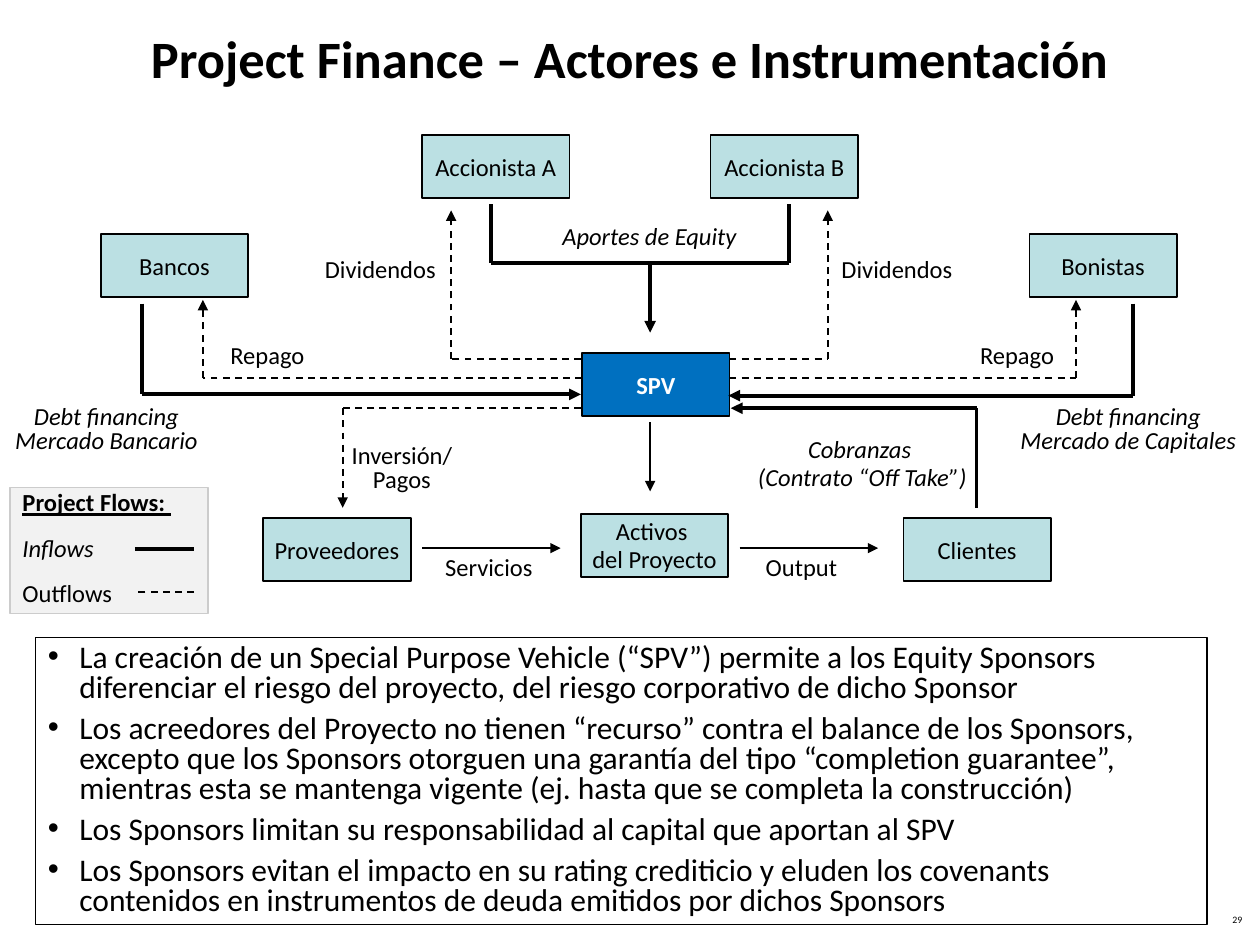
from itertools import pairwise

from lxml.etree import SubElement
from pptx import Presentation
from pptx.dml.color import RGBColor
from pptx.enum.dml import MSO_LINE
from pptx.enum.shapes import MSO_CONNECTOR, MSO_SHAPE
from pptx.enum.text import MSO_ANCHOR, MSO_AUTO_SIZE, PP_ALIGN
from pptx.oxml.ns import qn
from pptx.util import Inches, Pt

COLUMNS, ROWS = 100, 75
WIDTH, HEIGHT = Inches(10), Inches(7.5)
BLACK, WHITE = "000000", "FFFFFF"
ACTOR_SIZE = (11.7, 5)
INFLOW, OUTFLOW, EXCHANGE = (2.25, False), (1, True), (1, False)

ACTORS = [
    ("Accionista A", 33.5, 10.7),
    ("Accionista B", 56.4, 10.7),
    ("Bancos", 8, 18.6),
    ("Bonistas", 81.7, 18.6),
    ("Proveedores", 20.9, 41.1),
    ("Clientes", 71.7, 41.1),
    ("Activos \ndel Proyecto", 46.1, 40.8),
]

FLOWS = [
    (INFLOW, False, [(39, 16.2), (39, 20.9), (62.6, 20.9), (62.6, 16.2)]),
    (INFLOW, True, [(51.6, 20.9), (51.6, 26.4)]),
    (INFLOW, True, [(11.3, 24.1), (11.3, 31.3), (46.1, 31.3)]),
    (INFLOW, True, [(89.9, 24.1), (89.9, 31.4), (57.8, 31.4)]),
    (INFLOW, True, [(77.5, 40.3), (77.5, 32.4), (58, 32.4)]),
    (INFLOW, False, [(10.7, 43.6), (15.4, 43.6)]),
    (OUTFLOW, True, [(46.1, 28.5), (35.8, 28.5), (35.8, 16.7)]),
    (OUTFLOW, True, [(57.9, 28.5), (65.7, 28.5), (65.7, 16.7)]),
    (OUTFLOW, True, [(46.2, 30), (16.1, 30), (16.1, 23.8)]),
    (OUTFLOW, True, [(57.9, 30), (85.4, 30), (85.4, 23.8)]),
    (OUTFLOW, True, [(46.1, 32.4), (27.2, 32.4), (27.2, 40.3)]),
    (OUTFLOW, False, [(15.4, 47), (10.7, 47)]),
    (EXCHANGE, True, [(51.6, 33.5), (51.6, 39)]),
    (EXCHANGE, True, [(33.5, 43.5), (44.5, 43.5)]),
    (EXCHANGE, True, [(58.7, 43.5), (69.7, 43.5)]),
]

SHORT_LABELS = [
    ("Dividendos", 24.8, 20.7, 11.8, PP_ALIGN.LEFT, False),
    ("Dividendos", 65.8, 20.7, 11.8, PP_ALIGN.LEFT, False),
    ("Repago", 17.3, 27.5, 8.7, PP_ALIGN.LEFT, False),
    ("Repago", 76.8, 27.5, 8.7, PP_ALIGN.LEFT, False),
    ("Aportes de Equity", 42.5, 18.1, 18.1, PP_ALIGN.CENTER, True),
    ("Servicios", 32.9, 44.3, 11.8, PP_ALIGN.CENTER, False),
    ("Output", 57.7, 44.3, 11.8, PP_ALIGN.CENTER, False),
]

LONG_LABELS = [
    ("Inversión/ Pagos", 26, 34.8, 11.8, 14, False),
    ("Cobranzas \n(Contrato “Off Take”)", 59, 34.1, 18.9, 16, True),
    ("Debt financing Mercado Bancario", -1.5, 31.7, 19.9, 14, True),
    ("Debt financing Mercado de Capitales", 79.6, 31.7, 19.9, 14, True),
]

CONCLUSIONS = [
    "La creación de un Special Purpose Vehicle (“SPV”) permite a los Equity Sponsors "
    "diferenciar el riesgo del proyecto, del riesgo corporativo de dicho Sponsor",
    "Los acreedores del Proyecto no tienen “recurso” contra el balance de los Sponsors, "
    "excepto que los Sponsors otorguen una garantía del tipo “completion guarantee”, "
    "mientras esta se mantenga vigente (ej. hasta que se completa la construcción)",
    "Los Sponsors limitan su responsabilidad al capital que aportan al SPV",
    "Los Sponsors evitan el impacto en su rating crediticio y eluden los covenants "
    "contenidos en instrumentos de deuda emitidos por dichos Sponsors",
]


def color(value):
    return RGBColor.from_string(value)


def col(count):
    return round(WIDTH * count / COLUMNS)


def row(count):
    return round(HEIGHT * count / ROWS)


def area(left, top, width, height):
    return col(left), row(top), col(width), row(height)


def place(placeholder, *cells):
    placeholder.left, placeholder.top, placeholder.width, placeholder.height = area(*cells)


def write(frame, text, size=14, ink=BLACK, align=PP_ALIGN.LEFT, spacing=None,
          before=0, bold=False, italic=False):
    frame.text = text
    frame.auto_size = MSO_AUTO_SIZE.NONE
    for paragraph in frame.paragraphs:
        paragraph.alignment = align
        paragraph.space_before = Pt(before)
        if spacing:
            paragraph.line_spacing = spacing
        for run in paragraph.runs:
            run.font.name = "Calibri"
            run.font.size = Pt(size)
            run.font.bold = bold
            run.font.italic = italic
            run.font.color.rgb = color(ink)


def add_box(slide, cells, fill, outline=BLACK):
    box = slide.shapes.add_shape(MSO_SHAPE.RECTANGLE, *area(*cells))
    box.shadow.inherit = False
    box.fill.solid()
    box.fill.fore_color.rgb = color(fill)
    box.line.color.rgb = color(outline)
    box.line.width = Pt(1)
    return box


def add_actor(slide, name, left, top, fill="BBE0E3", **style):
    frame = add_box(slide, (left, top, *ACTOR_SIZE), fill).text_frame
    spacing = Pt(16) if "\n" in name else None
    write(frame, name, align=PP_ALIGN.CENTER, spacing=spacing, **style)
    frame.word_wrap = False
    frame.vertical_anchor = MSO_ANCHOR.MIDDLE


def add_label(slide, text, cells, **style):
    frame = slide.shapes.add_textbox(*area(*cells)).text_frame
    write(frame, text, **style)
    frame.word_wrap = True
    return frame


def add_flow(slide, style, arrow, stops):
    weight, dashed = style
    for (x1, y1), (x2, y2) in pairwise(stops):
        segment = slide.shapes.add_connector(
            MSO_CONNECTOR.STRAIGHT, col(x1), row(y1), col(x2), row(y2))
        segment.line.color.rgb = color(BLACK)
        segment.line.width = Pt(weight)
        if dashed:
            segment.line.dash_style = MSO_LINE.DASH
        SubElement(segment._element.spPr, qn("a:effectLst"))
    if arrow:
        SubElement(segment.line._get_or_add_ln(), qn("a:tailEnd"), type="triangle")


def add_legend(slide):
    add_box(slide, (0.8, 38.7, 15.7, 10), "F2F2F2", "CCCCCC")
    frame = add_label(slide, "Project Flows: \nInflows\nOutflows", (0.8, 39.2, 14.1, 9.4),
                      spacing=0.5, before=17.5)
    heading, inflows, _ = [paragraph.runs[0].font for paragraph in frame.paragraphs]
    heading.bold = heading.underline = True
    inflows.italic = True


def fill_conclusions(body):
    place(body, 2.8, 50.6, 93, 22.8)
    body.line.color.rgb = color(BLACK)
    body.line.width = Pt(0.75)
    write(body.text_frame, "\n".join(CONCLUSIONS), size=18, spacing=0.8, before=6)
    for paragraph in body.text_frame.paragraphs:
        properties = paragraph._p.get_or_add_pPr()
        properties.set("marL", str(Inches(0.25)))
        properties.set("indent", str(-Inches(0.25)))
        SubElement(properties, qn("a:buChar"), char="•")


def main():
    deck = Presentation()
    deck.slide_width, deck.slide_height = WIDTH, HEIGHT
    slide = deck.slides.add_slide(deck.slide_layouts[1])

    title = slide.shapes.title
    place(title, 0, 0, 100, 9.1)
    write(title.text_frame, "Project Finance – Actores e Instrumentación",
          size=30, align=PP_ALIGN.CENTER, bold=True)
    title.text_frame.vertical_anchor = MSO_ANCHOR.MIDDLE
    fill_conclusions(slide.placeholders[1])

    add_legend(slide)
    for actor in ACTORS:
        add_actor(slide, *actor)
    add_actor(slide, "SPV", 46.2, 28, fill="0070C0", ink=WHITE, bold=True)
    for flow in FLOWS:
        add_flow(slide, *flow)

    for text, left, top, width, align, italic in SHORT_LABELS:
        add_label(slide, text, (left, top, width, 2.2), align=align, spacing=0.5,
                  before=17.5, italic=italic)
    for text, left, top, width, leading, italic in LONG_LABELS:
        add_label(slide, text, (left, top, width, 4.9), align=PP_ALIGN.CENTER,
                  spacing=Pt(leading), italic=italic)
    add_label(slide, "29", (76.3, 72.2, 23.3, 2.1), size=5.6, align=PP_ALIGN.RIGHT, spacing=0.8)

    deck.save("out.pptx")


if __name__ == "__main__":
    main()
